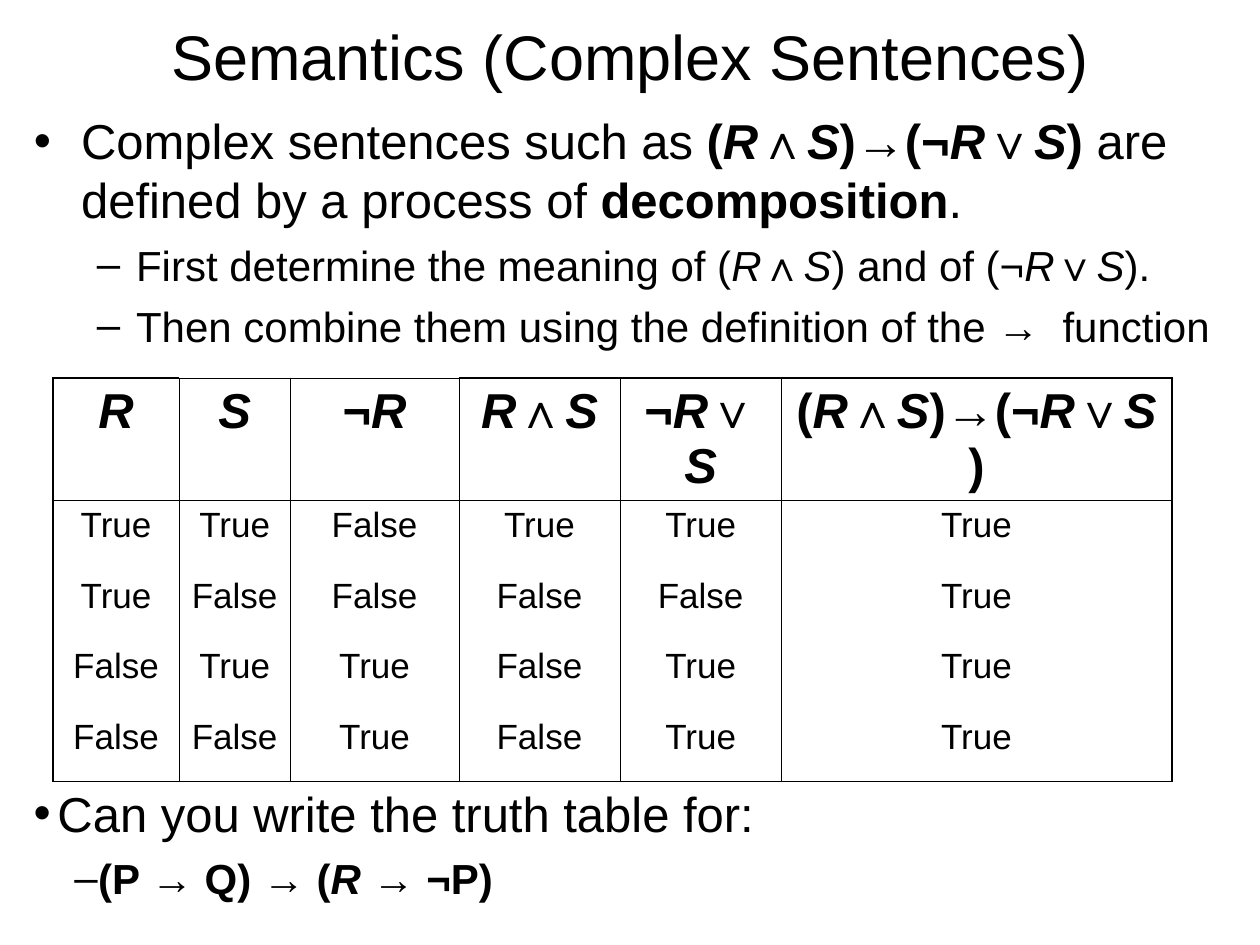
import pptx
import pptx.dml.color
import pptx.enum.text
import pptx.oxml
import pptx.oxml.ns
import pptx.util
from pptx.util import Cm, Pt

BLACK = "000000"
FONT = "Arial"

# In these texts * switches bold and _ switches italic.
TITLE = "Semantics (Complex Sentences)"
IMPLICATION = "(_R_∧_S_)→(¬_R_∨_S_)"
DECOMPOSITION = [
    (0, f"Complex sentences such as *{IMPLICATION} *are defined by a process of *decomposition*."),
    (1, "First determine the meaning of (_R_∧_S_) and of (¬_R_∨_S_)."),
    (1, "Then combine them using the definition of the →  function"),
]
EXERCISE = [
    (0, "Can you write the truth table for:"),
    (1, "*(P → Q) → (_R _→ ¬P)*"),
]
HEADINGS = ["_R_", "_S_", "¬_R_", "_R_∧_S_", "¬_R_∨_S_", IMPLICATION]
TRUTH_ROWS = [
    ["True", "True", "False", "True", "True", "True"],
    ["True", "False", "False", "False", "False", "True"],
    ["False", "True", "True", "False", "True", "True"],
    ["False", "False", "True", "False", "True", "True"],
]
COLUMN_WIDTHS = [2.54, 2.24, 3.4, 3.25, 3.25, 7.87]
HEADING_HEIGHT, TRUTH_HEIGHT = 1.85, 1.42
THIN, THICK = 0.45, 1.08
THIN_EDGE_COLUMNS = (1, 2)

# Per level: bullet, size and space before in points
LEVELS = [("•", 28, 7), ("–", 24, 6)]
# Per level: left margin and hanging indent in cm
DECOMPOSITION_INDENTS = [(0.95, 0.95), (2.06, 0.79)]
EXERCISE_INDENTS = [(0.48, 0.48), (1.3, 0.48)]


def color(hex_code):
    return pptx.dml.color.RGBColor.from_string(hex_code)


def write_runs(paragraph, marked, size, bold=False):
    """Add the marked text as runs, switching bold at * and italic at _."""
    italic = False
    for piece in marked.replace("*", "\n*\n").replace("_", "\n_\n").split("\n"):
        if piece == "*":
            bold = not bold
        elif piece == "_":
            italic = not italic
        elif piece:
            run = paragraph.add_run()
            run.text = piece
            run.font.color.rgb = color(BLACK)
            style = {"name": FONT, "size": Pt(size), "bold": bold, "italic": italic}
            for name, value in style.items():
                setattr(run.font, name, value)


def add_xml(parent, tag, **attributes):
    child = pptx.oxml.parse_xml(f"<{tag} {pptx.oxml.ns.nsdecls('a')}/>")
    for name, value in attributes.items():
        child.set(name, str(value))
    parent.append(child)
    return child


def write_list(frame, items, indents):
    frame.word_wrap = True
    frame.auto_size = pptx.enum.text.MSO_AUTO_SIZE.NONE
    for index, (level, marked) in enumerate(items):
        paragraph = frame.add_paragraph() if index else frame.paragraphs[0]
        bullet, size, space = LEVELS[level]
        margin, hanging = indents[level]
        paragraph.level = level
        paragraph.space_before = Pt(space)
        properties = paragraph._p.get_or_add_pPr()
        properties.set("marL", str(Cm(margin)))
        properties.set("indent", str(-Cm(hanging)))
        add_xml(add_xml(properties, "a:buClr"), "a:srgbClr", val=BLACK)
        add_xml(properties, "a:buFont", typeface=FONT)
        add_xml(properties, "a:buChar", char=bullet)
        write_runs(paragraph, marked, size)


def set_borders(cell, widths):
    """Draw the given sides in points; a side of width 0 gets no line."""
    properties = cell._tc.get_or_add_tcPr()
    for side in "LRTB":
        line = add_xml(properties, f"a:ln{side}", w=Pt(widths[side]))
        if widths[side]:
            add_xml(add_xml(line, "a:solidFill"), "a:srgbClr", val=BLACK)
        else:
            add_xml(line, "a:noFill")


def place(shape, left, top, width, height):
    box = {"left": left, "top": top, "width": width, "height": height}
    for name, value in box.items():
        setattr(shape, name, Cm(value))


def add_truth_table(slide):
    rows = [HEADINGS] + TRUTH_ROWS
    last_row, last_column = len(rows) - 1, len(HEADINGS) - 1
    table = slide.shapes.add_table(
        len(rows), len(HEADINGS), Cm(1.07), Cm(7.62), Cm(sum(COLUMN_WIDTHS)),
        Cm(HEADING_HEIGHT + last_row * TRUTH_HEIGHT)).table
    table.first_row = table.horz_banding = False
    for column, width in zip(table.columns, COLUMN_WIDTHS):
        column.width = Cm(width)
    for r, texts in enumerate(rows):
        heading = r == 0
        table.rows[r].height = Cm(HEADING_HEIGHT if heading else TRUTH_HEIGHT)
        for c, marked in enumerate(texts):
            cell = table.cell(r, c)
            edge = THIN if c in THIN_EDGE_COLUMNS else THICK
            set_borders(cell, {
                "L": THICK if c == 0 else THIN,
                "R": THICK if c == last_column else THIN,
                "T": edge if heading else THIN if r == 1 else 0,
                "B": THIN if heading else edge if r == last_row else 0,
            })
            cell.fill.background()
            paragraph = cell.text_frame.paragraphs[0]
            paragraph.alignment = pptx.enum.text.PP_ALIGN.CENTER
            paragraph.space_before = Pt(7 if heading else 5)
            write_runs(paragraph, marked, 28 if heading else 20, bold=heading)


def main():
    deck = pptx.Presentation()
    deck.slide_width, deck.slide_height = Cm(25.4), Cm(19.05)
    slide = deck.slides.add_slide(deck.slide_layouts[1])

    title = slide.shapes.title
    place(title, 1.27, 0.43, 22.86, 1.35)
    frame = title.text_frame
    frame.auto_size = pptx.enum.text.MSO_AUTO_SIZE.NONE
    frame.vertical_anchor = pptx.enum.text.MSO_ANCHOR.MIDDLE
    frame.paragraphs[0].alignment = pptx.enum.text.PP_ALIGN.CENTER
    write_runs(frame.paragraphs[0], TITLE, 36)

    decomposition = slide.placeholders[1]
    place(decomposition, 0.43, 2.11, 24.33, 5.51)
    write_list(decomposition.text_frame, DECOMPOSITION, DECOMPOSITION_INDENTS)

    add_truth_table(slide)

    exercise = slide.shapes.add_textbox(Cm(0.43), Cm(15.67), Cm(24.33), Cm(2.74))
    write_list(exercise.text_frame, EXERCISE, EXERCISE_INDENTS)

    deck.save("out.pptx")


if __name__ == "__main__":
    main()
